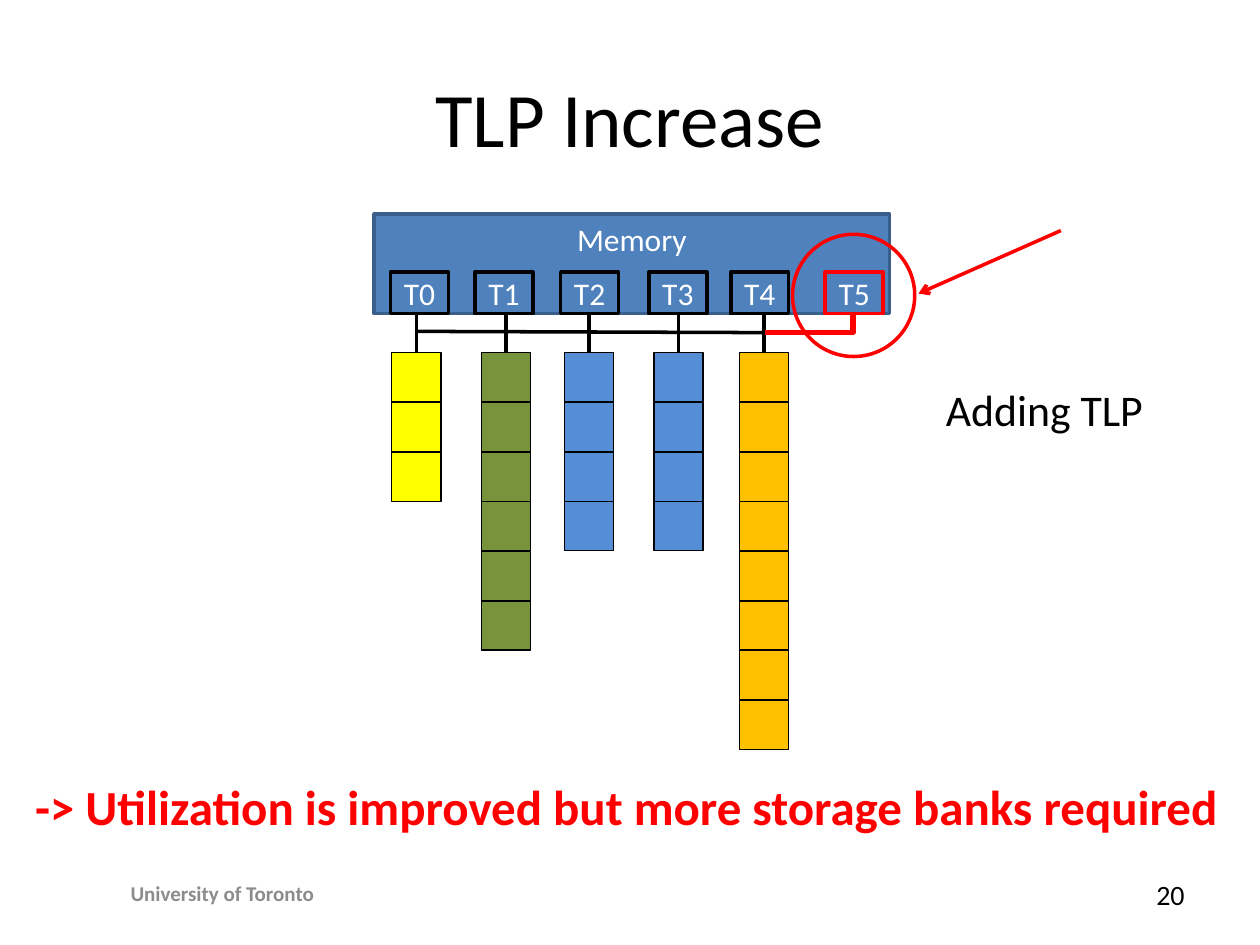
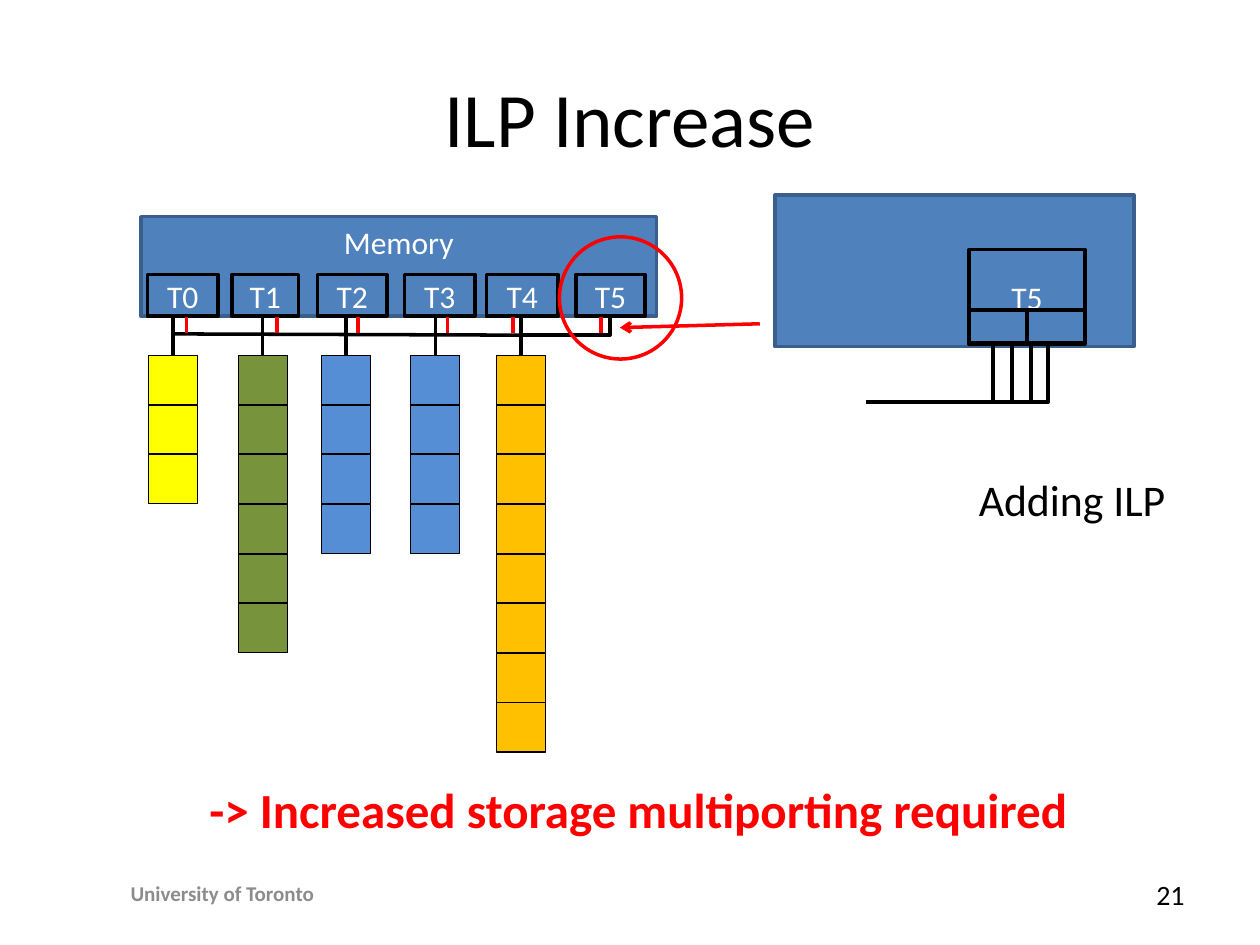
from lxml.etree import SubElement
from pptx import Presentation
from pptx.dml.color import RGBColor
from pptx.enum.shapes import MSO_CONNECTOR, MSO_SHAPE
from pptx.enum.text import MSO_ANCHOR, PP_ALIGN
from pptx.oxml.ns import qn
from pptx.util import Inches, Pt

prs = Presentation()
prs.slide_width, prs.slide_height = Inches(10), Inches(7.5)

# Grid of 100 columns by 75 rows
COL, ROW = prs.slide_width / 100, prs.slide_height / 75
BLACK, WHITE, RED, GREY = "000000", "FFFFFF", "FF0000", "8C8C8C"
BLUE, BLUE_EDGE = "4F81BD", "3A5F8C"
CELL, CELL_STEP = 3.9, 3.94
TILE_HEIGHT = 3.3
# Colour, number of cells and left column within the diagram
QUEUES = [("FFFF00", 3, 0), ("77933C", 6, 7.1), ("558ED5", 4, 13.7),
          ("558ED5", 4, 20.8), ("FFC000", 8, 27.6)]


def add_box(shapes, x, y, w, h, text="", size=18, colour=WHITE, fill=None, edge=None, weight=2,
            bold=False, align=PP_ALIGN.CENTER, anchor=MSO_ANCHOR.MIDDLE, preset=MSO_SHAPE.RECTANGLE):
    """Draw a shape, or a text box when it has neither fill nor edge."""
    place = [int(x * COL), int(y * ROW), int(w * COL), int(h * ROW)]
    if fill or edge:
        box = shapes.add_shape(preset, *place)
        box.shadow.inherit = False
        box.text_frame.margin_left = box.text_frame.margin_right = 0
        box.line.color.rgb = RGBColor.from_string(edge)
        box.line.width = Pt(weight)
        if fill:
            box.fill.solid()
            box.fill.fore_color.rgb = RGBColor.from_string(fill)
        else:
            box.fill.background()
    else:
        box = shapes.add_textbox(*place)
    if text:
        frame = box.text_frame
        frame.word_wrap = True
        frame.vertical_anchor = anchor
        frame.text = text
        frame.paragraphs[0].alignment = align
        font = frame.paragraphs[0].runs[0].font
        font.name, font.size, font.bold = "Calibri", Pt(size), bold
        font.color.rgb = RGBColor.from_string(colour)
    return box


def add_wire(shapes, x1, y1, x2, y2, colour=BLACK, weight=2, bent=False, arrow=False):
    """Draw a straight wire, or one that runs across and then up or down."""
    kind = MSO_CONNECTOR.ELBOW if bent else MSO_CONNECTOR.STRAIGHT
    wire = shapes.add_connector(kind, int(x1 * COL), int(y1 * ROW), int(x2 * COL), int(y2 * ROW))
    wire.line.color.rgb = RGBColor.from_string(colour)
    wire.line.width = Pt(weight)
    properties = wire._element.spPr
    if bent:
        properties.find(qn("a:prstGeom")).set("prst", "bentConnector2")
    if arrow:
        SubElement(properties.find(qn("a:ln")), qn("a:tailEnd"), type="arrow")
    SubElement(properties, qn("a:effectLst"))
    return wire


# What differs: places are columns and rows, tiles are (left, width)
designs = [
    dict(title="TLP Increase", number="20", left=31.1, top=28, memory=29.7,
         tiles=[(31, 4.6), (37.7, 4.6), (44.5, 4.6), (51.5, 4.6), (58, 4.6), (65.5, 4.6)],
         new_wire=(67.7, RED, 3), new_tile=(None, RED),
         label=("Adding TLP", 74.1, 29.9, 18), circle=(62.9, 18.6), arrow=(84.2, 18.3, 72.9, 23.3),
         verdict=("-> Utilization is improved but more storage banks required", 1.8, 61.1, PP_ALIGN.LEFT)),
    dict(title="ILP Increase", number="21", left=11.8, top=28.2, memory=11.2,
         tiles=[(11.7, 5.6), (18.4, 5.3), (25.2, 5.5), (32.1, 5.6), (38.6, 5.7), (45.7, 5.5)],
         new_wire=(48.4, BLACK, 2), new_tile=(BLUE, BLACK),
         label=("Adding ILP", 76.7, 37, 18), circle=(44.4, 18.8), arrow=(60.3, 25.7, 49.2, 26),
         verdict=("-> Increased storage multiporting required", 3.1, 61.4, PP_ALIGN.CENTER)),
]

for design in designs:
    shapes = prs.slides.add_slide(prs.slide_layouts[6]).shapes
    left, top = design["left"], design["top"]
    memory_bottom, bus = top - 3.1, top - 1.7

    # Title and footer
    add_box(shapes, 5, 3, 90, 12.5, design["title"], 44, BLACK)
    add_box(shapes, 1.8, 68.9, 31.7, 4, "University of Toronto", 12, GREY, bold=True)
    add_box(shapes, 71.7, 69, 23.3, 4, design["number"], 16, BLACK, align=PP_ALIGN.RIGHT)

    # Memory with a storage queue under each thread
    add_box(shapes, design["memory"], top - 11, 40.9, 7.9, "Memory", fill=BLUE, edge=BLUE_EDGE,
            anchor=MSO_ANCHOR.TOP)
    for colour, length, offset in QUEUES:
        queue = shapes.add_group_shape().shapes
        cells = [add_box(queue, left + offset, top + row * CELL_STEP, CELL, CELL,
                         fill=colour, edge=BLACK, weight=0.75) for row in range(length)]
        centre = left + offset + CELL / 2
        stem = add_wire(shapes, centre, memory_bottom, centre, top)
        stem.end_connect(cells[0], 0)

    # Thread tiles, the last one being the new one
    for thread, (tile_left, tile_width) in enumerate(design["tiles"]):
        fill, edge = design["new_tile"] if thread == 5 else (BLUE, BLACK)
        add_box(shapes, tile_left, memory_bottom - TILE_HEIGHT, tile_width, TILE_HEIGHT,
                f"T{thread}", fill=fill, edge=edge)

    # Shared bus and its extension to the new tile
    bus_end = left + 29.6
    add_wire(shapes, left + 1.9, bus, bus_end + 0.1, bus + 0.1)
    wire_end, colour, weight = design["new_wire"]
    add_wire(shapes, bus_end, bus + 0.1, wire_end, memory_bottom, colour, weight, bent=True)

    # Label and verdict
    label, x, y, width = design["label"]
    add_box(shapes, x, y, width, 5.2, label, 25, BLACK, align=PP_ALIGN.LEFT, anchor=MSO_ANCHOR.TOP)
    verdict, x, y, align = design["verdict"]
    add_box(shapes, x, y, 96.4 if align == PP_ALIGN.LEFT else 95.1, 5.7, verdict, 28, RED,
            bold=True, align=align, anchor=MSO_ANCHOR.TOP)

    # Highlight
    add_box(shapes, *design["circle"], 9.7, 9.7, edge=RED, preset=MSO_SHAPE.OVAL)
    add_wire(shapes, *design["arrow"], RED, arrow=True)

# Extra ports per thread on the ILP slide
for port in (14.8, 22, 28.4, 35.5, 40.7, 47.7):
    add_wire(shapes, port, memory_bottom + 0.1, port, bus - 0.1, RED)

# Close-up of T5 with its two halves and four ports
closeup = shapes.add_group_shape().shapes
add_box(closeup, 61.5, 15.5, 28.5, 12, fill=BLUE, edge=BLUE_EDGE)
add_box(closeup, 76.9, 19.8, 9.2, 7.5, "T5", fill=BLUE, edge=BLACK)
add_wire(closeup, 68.7, 31.9, 83.2, 27.3, weight=2.25, bent=True)
for port in (78.8, 80.3, 81.8):
    add_wire(closeup, port, 27.3, port, 32, weight=2.25)
for half in range(2):
    add_box(shapes, 76.9 + half * 4.6, 24.6, 4.6, 2.6, fill=BLUE, edge=BLACK)

prs.save("out.pptx")
